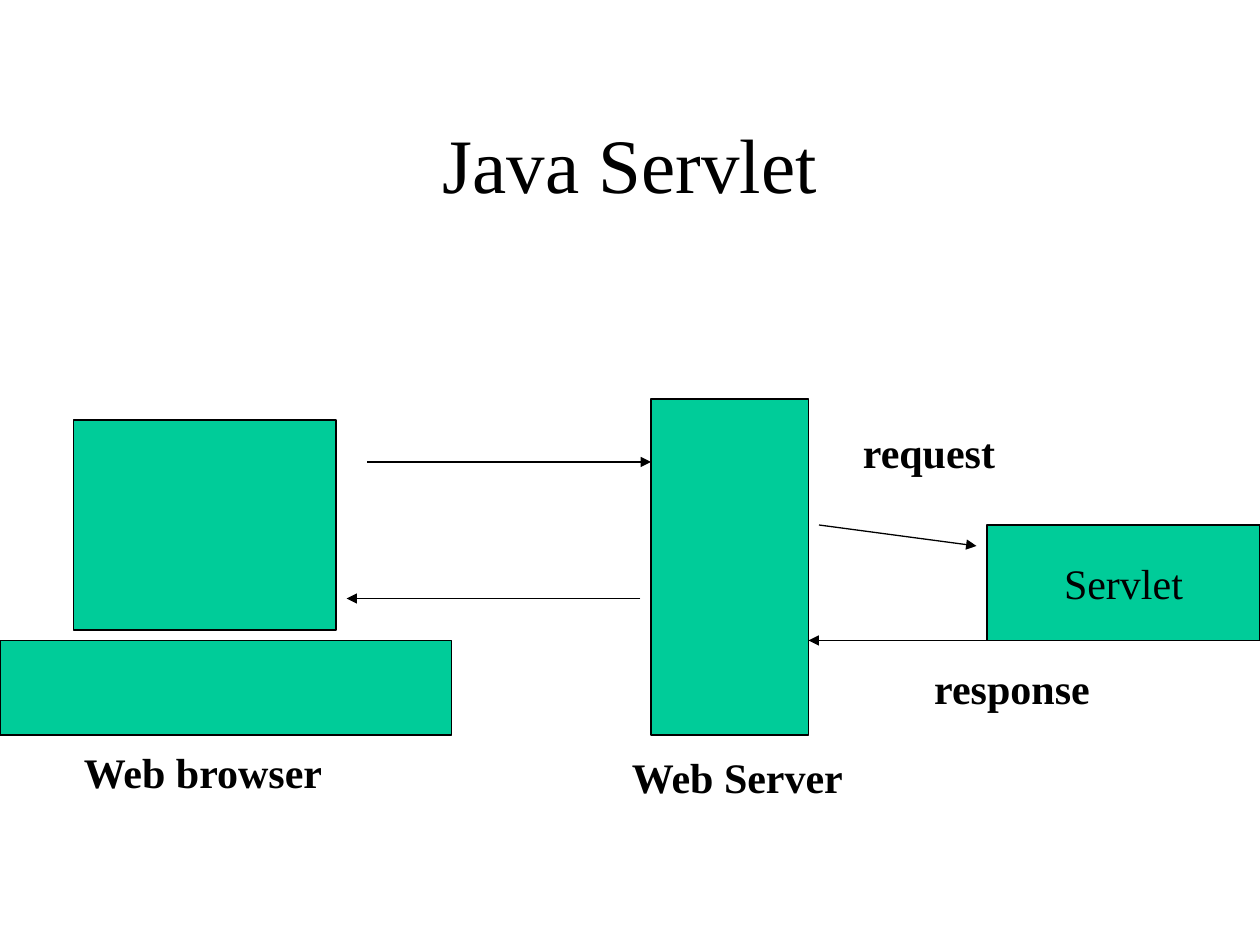
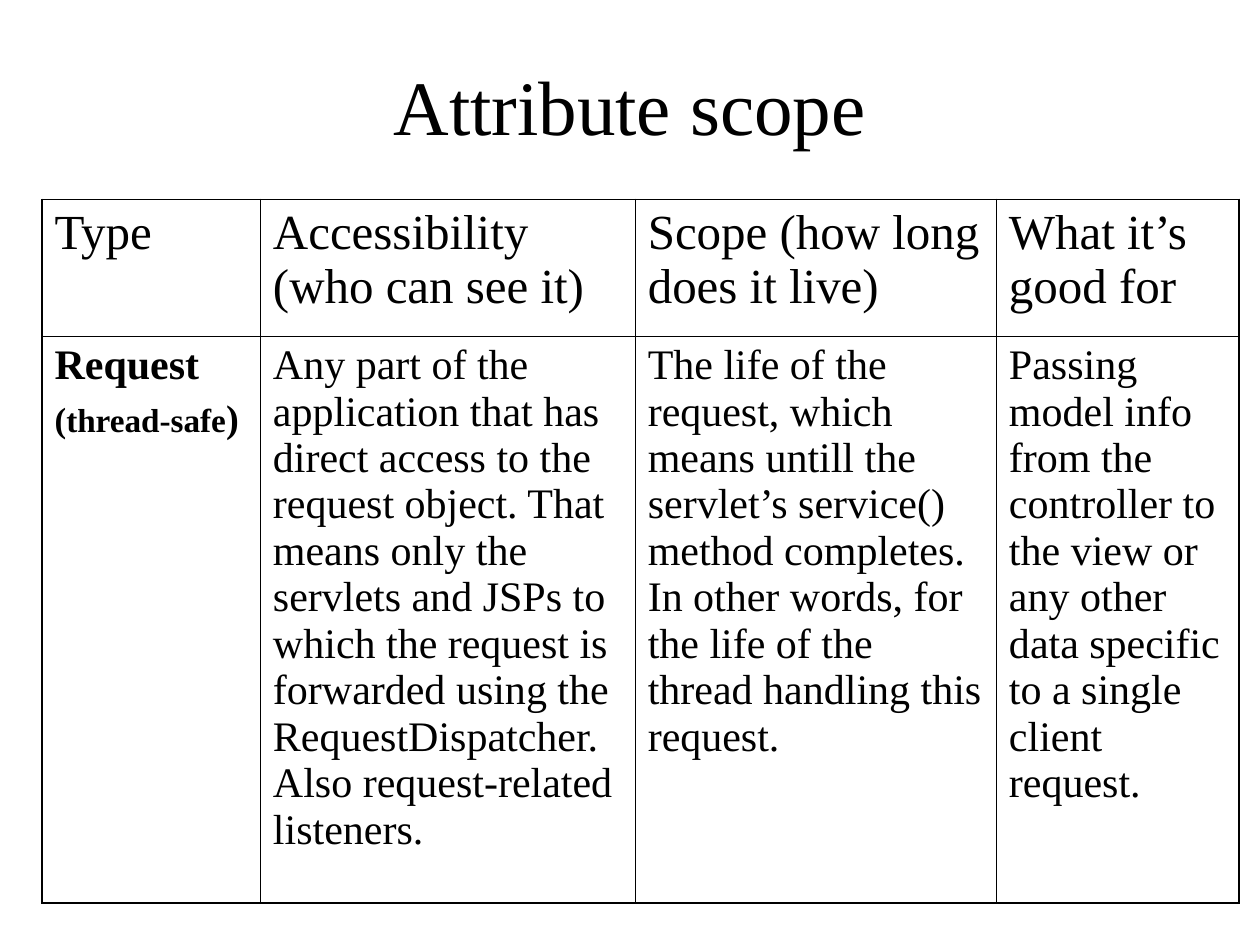
from lxml import etree
from pptx import Presentation
from pptx.dml.color import RGBColor
from pptx.enum.shapes import MSO_CONNECTOR, MSO_SHAPE
from pptx.enum.text import MSO_ANCHOR, PP_ALIGN
from pptx.oxml.ns import qn
from pptx.util import Inches, Pt

RECT, LINE = MSO_SHAPE.RECTANGLE, MSO_CONNECTOR.STRAIGHT
LEFT, CENTER = PP_ALIGN.LEFT, PP_ALIGN.CENTER
TOP, MIDDLE = MSO_ANCHOR.TOP, MSO_ANCHOR.MIDDLE
COLORS = {"ink": "000000", "node": "00CC99"}
FONT = "Times New Roman"
THIN, THICK = 0.45, 1.08

HEADERS = ["Type", "Accessibility (who can see it)",
           "Scope (how long does it live)", "What it’s good for"]
REQUEST_SCOPE = [
    "Any part of the application that has direct access to the request object. "
    "That means only the servlets and JSPs to which the request is forwarded "
    "using the RequestDispatcher. Also request-related listeners.",
    "The life of the request, which means untill the servlet’s service() method "
    "completes. In other words, for the life of the thread handling this request.",
    "Passing model info from the controller to the view or any other data "
    "specific to a single client request.",
]


def grid(n):
    """Convert grid units, twelve to the inch, to a length."""
    return Inches(n / 12)


def place(box, x, y, w, h):
    """Return a slide-level rectangle for one given relative to a box."""
    return [grid(n) for n in (box[0] + x, box[1] + y, w, h)]


def rgb(name):
    """Look up a colour of the deck."""
    return RGBColor.from_string(COLORS[name])


def style(p, size, bold=False, align=LEFT, before=0):
    """Set the font and layout of a paragraph."""
    p.alignment, p.space_before = align, Pt(before)
    p.font.name, p.font.size, p.font.bold = FONT, Pt(size), bold
    p.font.color.rgb = rgb("ink")


def add_text(s, rect, text, size, bold=False, align=LEFT, anchor=TOP, wrap=False):
    """Add a one-paragraph text box."""
    tf = s.shapes.add_textbox(*rect).text_frame
    tf.word_wrap, tf.vertical_anchor = wrap, anchor
    tf.text = text
    style(tf.paragraphs[0], size, bold, align)


def add_title(s, box, text):
    """Fill a box with the slide title."""
    add_text(s, place(box, 0, 0, *box[2:]), text, 44, align=CENTER, anchor=MIDDLE, wrap=True)


def add_node(s, rect, text=""):
    """Add an outlined green rectangle, captioned if text is given."""
    sp = s.shapes.add_shape(RECT, *rect)
    sp.shadow.inherit = False
    sp.fill.solid()
    sp.fill.fore_color.rgb = rgb("node")
    sp.line.color.rgb, sp.line.width = rgb("ink"), Pt(0.75)
    if text:
        tf = sp.text_frame
        tf.word_wrap, tf.vertical_anchor = False, MIDDLE
        tf.text = text
        style(tf.paragraphs[0], 24, align=CENTER)


def add_arrow(s, box, x1, y1, x2, y2):
    """Add an arrow between two points relative to a box."""
    start, end = place(box, x1, y1, 0, 0)[:2], place(box, x2, y2, 0, 0)[:2]
    cn = s.shapes.add_connector(LINE, *start, *end)
    cn.line.color.rgb, cn.line.width = rgb("ink"), Pt(0.75)
    etree.SubElement(cn.line._get_or_add_ln(), qn("a:tailEnd"), type="triangle")
    etree.SubElement(cn._element.spPr, qn("a:effectLst"))


def add_diagram(s, box):
    """Draw the browser, server and servlet with the calls between them."""
    for rect, text in [((7, 2, 25, 20), ""), ((0, 23, 43, 9), ""),
                       ((62, 0, 15, 32), ""), ((94, 12, 26, 11), "Servlet")]:
        add_node(s, place(box, *rect), text)
    for ends in [(35, 6, 62, 6), (61, 19, 33, 19), (78, 12, 93, 14), (94, 23, 77, 23)]:
        add_arrow(s, box, *ends)
    for x, y, w, text in [(81, 2, 15, "request"), (87.8, 24.5, 17.3, "response"),
                          (6.8, 32.5, 25.3, "Web browser"), (59, 33, 22.7, "Web Server")]:
        add_text(s, place(box, x, y, w, 6), text, 24, bold=True)


def add_borders(cell, widths):
    """Draw the left, right, top and bottom borders of a cell."""
    tc_pr = cell._tc.get_or_add_tcPr()
    for side, width in zip("LRTB", widths):
        ln = etree.SubElement(tc_pr, qn(f"a:ln{side}"), w=str(Pt(width)))
        fill = etree.SubElement(ln, qn("a:solidFill"))
        etree.SubElement(fill, qn("a:srgbClr"), val=COLORS["ink"])


def fill_request_name(tf):
    """Write the scope name and its note in mixed sizes."""
    tf.text = "Request"
    style(tf.paragraphs[0], 24, bold=True, before=6)
    p = tf.add_paragraph()
    style(p, 20, bold=True, before=5.5)
    for text, size in [("(", 20), ("thread-safe", 19), (")", 22)]:
        r = p.add_run()
        r.text, r.font.size = text, Pt(size)


def add_scope_table(s, box):
    """Fill a box with the table of attribute scopes."""
    columns, rows = (20.8, 35.7, 34.4, 23.1), (13, 54)
    table = s.shapes.add_table(len(rows), len(columns), *place(box, 0, 0, *box[2:])).table
    table.first_row = table.horz_banding = False
    for column, width in zip(table.columns, columns):
        column.width = grid(width)
    for row, height in zip(table.rows, rows):
        row.height = grid(height)
    fill_request_name(table.cell(1, 0).text_frame)
    for i in range(len(rows)):
        for j in range(len(columns)):
            cell = table.cell(i, j)
            outer = (j == 0, j == len(columns) - 1, i == 0, i == len(rows) - 1)
            add_borders(cell, [THICK if edge else THIN for edge in outer])
            cell.fill.background()
            if i == 0:
                cell.text = HEADERS[j]
                style(cell.text_frame.paragraphs[0], 28, before=7)
            elif j > 0:
                cell.text = REQUEST_SCOPE[j - 1]
                style(cell.text_frame.paragraphs[0], 24, before=6)


def main():
    """Build both slides and save the deck."""
    prs = Presentation()
    prs.slide_width, prs.slide_height = grid(120), grid(90)
    blank = prs.slide_layouts[6]
    s = prs.slides.add_slide(blank)
    add_title(s, (9, 8, 102, 15), "Java Servlet")
    add_diagram(s, (0, 38, 120, 39))
    s = prs.slides.add_slide(blank)
    add_title(s, (9, 4, 102, 12), "Attribute scope")
    add_scope_table(s, (4, 19, 114, 67))
    prs.save("out.pptx")


if __name__ == "__main__":
    main()
